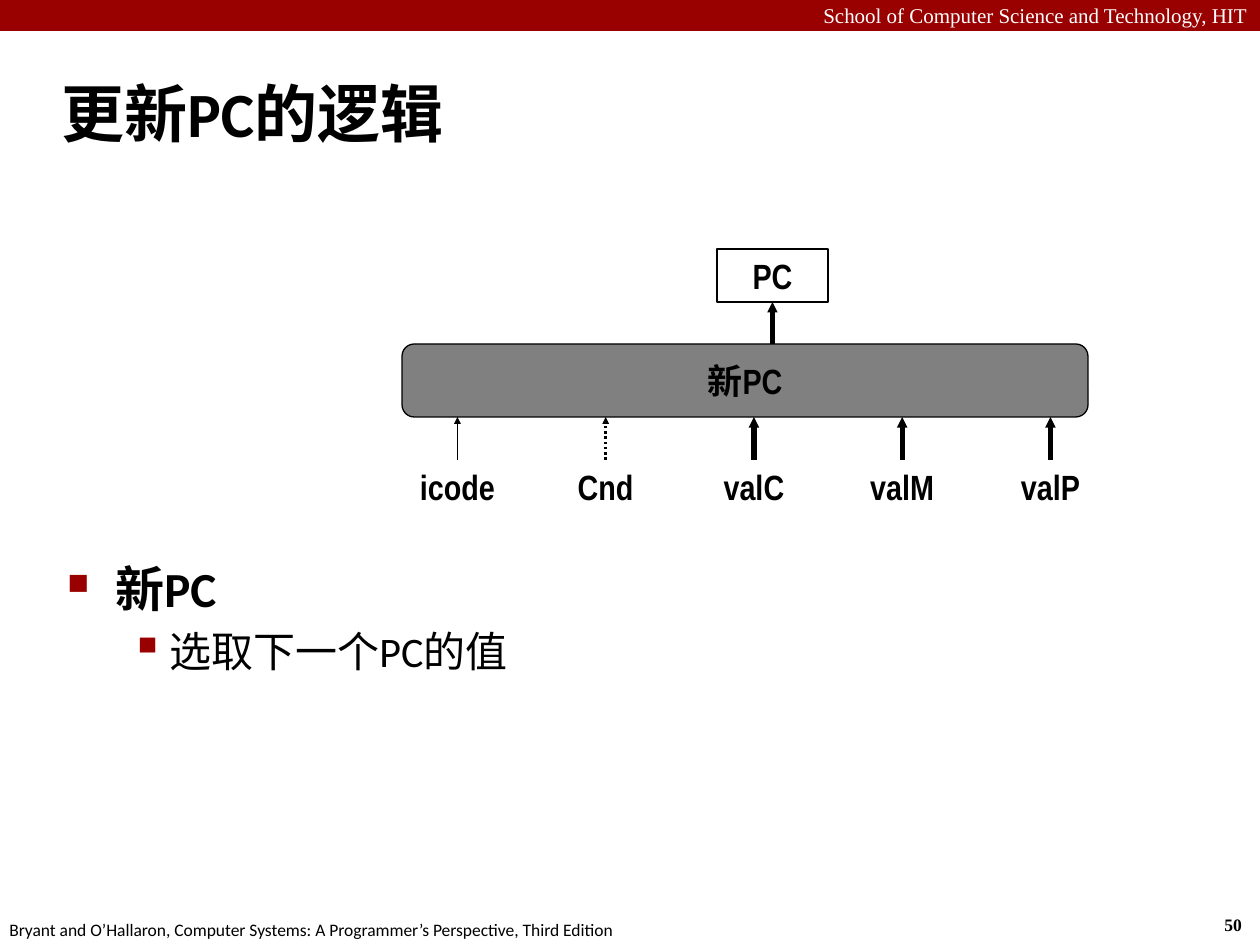
from pptx import Presentation
from pptx.dml.color import RGBColor
from pptx.enum.dml import MSO_LINE
from pptx.enum.shapes import MSO_CONNECTOR, MSO_SHAPE
from pptx.enum.text import MSO_ANCHOR, PP_ALIGN
from pptx.oxml.ns import qn
from pptx.util import Inches, Pt
from lxml.etree import SubElement

SCALE = Inches(1) / 126
COLORS = {"red": "990000", "black": "000000", "white": "FFFFFF", "gray": "808080"}


def px(n):
    """Turn px into EMU."""
    return round(n * SCALE)


def rgb(name):
    """Look up a named colour."""
    return RGBColor.from_string(COLORS[name])


def add_run(p, text, size, font="Calibri", bold=False, color="black"):
    """Add one styled run to a paragraph."""
    r = p.add_run()
    r.text = text
    r.font.size = Pt(size)
    r.font.name = font
    r.font.bold = bold
    r.font.color.rgb = rgb(color)


def add_box(s, box, wrap=True):
    """Add a text box and return its text frame."""
    tf = s.shapes.add_textbox(*map(px, box)).text_frame
    tf.word_wrap = wrap
    return tf


def add_node(s, kind, box, text, fill=None):
    """Add a labelled shape, outlined only when filled."""
    sp = s.shapes.add_shape(kind, *map(px, box))
    sp.shadow.inherit = False
    if fill:
        sp.fill.solid()
        sp.fill.fore_color.rgb = rgb(fill)
        sp.line.color.rgb = rgb("black")
        sp.line.width = Pt(0.75)
    else:
        sp.fill.background()
        sp.line.fill.background()
    tf = sp.text_frame
    tf.word_wrap = False
    tf.vertical_anchor = MSO_ANCHOR.MIDDLE
    p = tf.paragraphs[0]
    p.alignment = PP_ALIGN.CENTER
    add_run(p, text, 20, "Arial Narrow", True)
    return sp


def add_arrow(s, x, y1, y2, width, dash=None):
    """Add a vertical arrow from y1 to y2."""
    c = s.shapes.add_connector(MSO_CONNECTOR.STRAIGHT, px(x), px(y1), px(x), px(y2))
    c.line.color.rgb = rgb("black")
    c.line.width = Pt(width)
    if dash:
        c.line.dash_style = dash
    SubElement(c.line._get_or_add_ln(), qn("a:tailEnd"), type="triangle", w="sm", len="sm")
    SubElement(c._element.spPr, qn("a:effectLst"))
    return c


def add_header(s, x, y, w, h):
    """Draw the red band with the school name."""
    sp = s.shapes.add_shape(MSO_SHAPE.RECTANGLE, px(x), px(y), px(w), px(h))
    sp.shadow.inherit = False
    sp.fill.solid()
    sp.fill.fore_color.rgb = rgb("red")
    sp.line.fill.background()
    p = add_box(s, (x, y - 4, w, h + 7)).paragraphs[0]
    p.alignment = PP_ALIGN.RIGHT
    add_run(p, "School of Computer Science and Technology, HIT", 12, "Times New Roman", color="white")


def add_footer(s, x, y, w, h):
    """Write the book credit and the slide number."""
    p = add_box(s, (x - 3, y + 5, 640, h), False).paragraphs[0]
    add_run(p, "Bryant and O’Hallaron, Computer Systems: A Programmer’s Perspective, Third Edition", 10)
    p = add_box(s, (x + w - 48, y, 47, h), False).paragraphs[0]
    add_run(p, "50", 10, "Times New Roman", True)


def add_title(s, x, y, w, h):
    """Write the slide title."""
    tf = add_box(s, (x, y, w, h))
    tf.vertical_anchor = MSO_ANCHOR.MIDDLE
    add_run(tf.paragraphs[0], "更新PC的逻辑", 36, bold=True)


def add_diagram(s, x, y, w, h):
    """Draw the new-PC block with its inputs and its output."""
    node_w, node_h, bar_y, bar_h = 111, 53, y + 95, 73
    pc = add_node(s, MSO_SHAPE.RECTANGLE, (x + 315, y, node_w, node_h), "PC", "white")
    add_node(s, MSO_SHAPE.ROUNDED_RECTANGLE, (x, bar_y, w, bar_h), "新PC", "gray")
    out = add_arrow(s, x + 315 + node_w / 2, bar_y, y + node_h, 3)
    out.end_connect(pc, 2)
    inputs = [("icode", 1, None), ("Cnd", 1.5, MSO_LINE.ROUND_DOT),
              ("valC", 3, None), ("valM", 3, None), ("valP", 3, None)]
    pitch = (w - 93) / (len(inputs) - 1)
    top = y + h - node_h
    for i, (name, width, dash) in enumerate(inputs):
        left = x + i * pitch
        sp = add_node(s, MSO_SHAPE.OVAL, (left, top, node_w, node_h), name)
        arrow = add_arrow(s, left + node_w / 2, top, bar_y + bar_h, width, dash)
        arrow.begin_connect(sp, 0)


def add_bullets(s, x, y, w, h):
    """Write the two-level bullet list."""
    tf = add_box(s, (x, y, w, h))
    items = [("新PC", 28, True, 48, 48, "■", 60), ("选取下一个PC的值", 24, False, 102, 39, "▪", 110)]
    for i, (text, size, bold, margin, hang, char, pct) in enumerate(items):
        p = tf.add_paragraph() if i else tf.paragraphs[0]
        p.level = i
        pPr = p._p.get_or_add_pPr()
        pPr.set("marL", str(px(margin)))
        pPr.set("indent", str(-px(hang)))
        SubElement(SubElement(pPr, qn("a:buClr")), qn("a:srgbClr"), val=COLORS["red"])
        SubElement(pPr, qn("a:buSzPct"), val=str(pct * 1000))
        SubElement(pPr, qn("a:buChar"), char=char)
        if i:
            p.space_before = Pt(5)
        add_run(p, text, size, bold=bold)


def main():
    """Build the slide."""
    prs = Presentation()
    prs.slide_width, prs.slide_height = px(1260), px(945)
    s = prs.slides.add_slide(prs.slide_layouts[6])
    add_header(s, 0, 0, 1260, 31)
    add_footer(s, 0, 908, 1260, 34)
    add_title(s, 49, 60, 1211, 105)
    add_bullets(s, 55, 552, 736, 348)
    add_diagram(s, 402, 249, 686, 264)
    prs.save("out.pptx")


if __name__ == "__main__":
    main()
